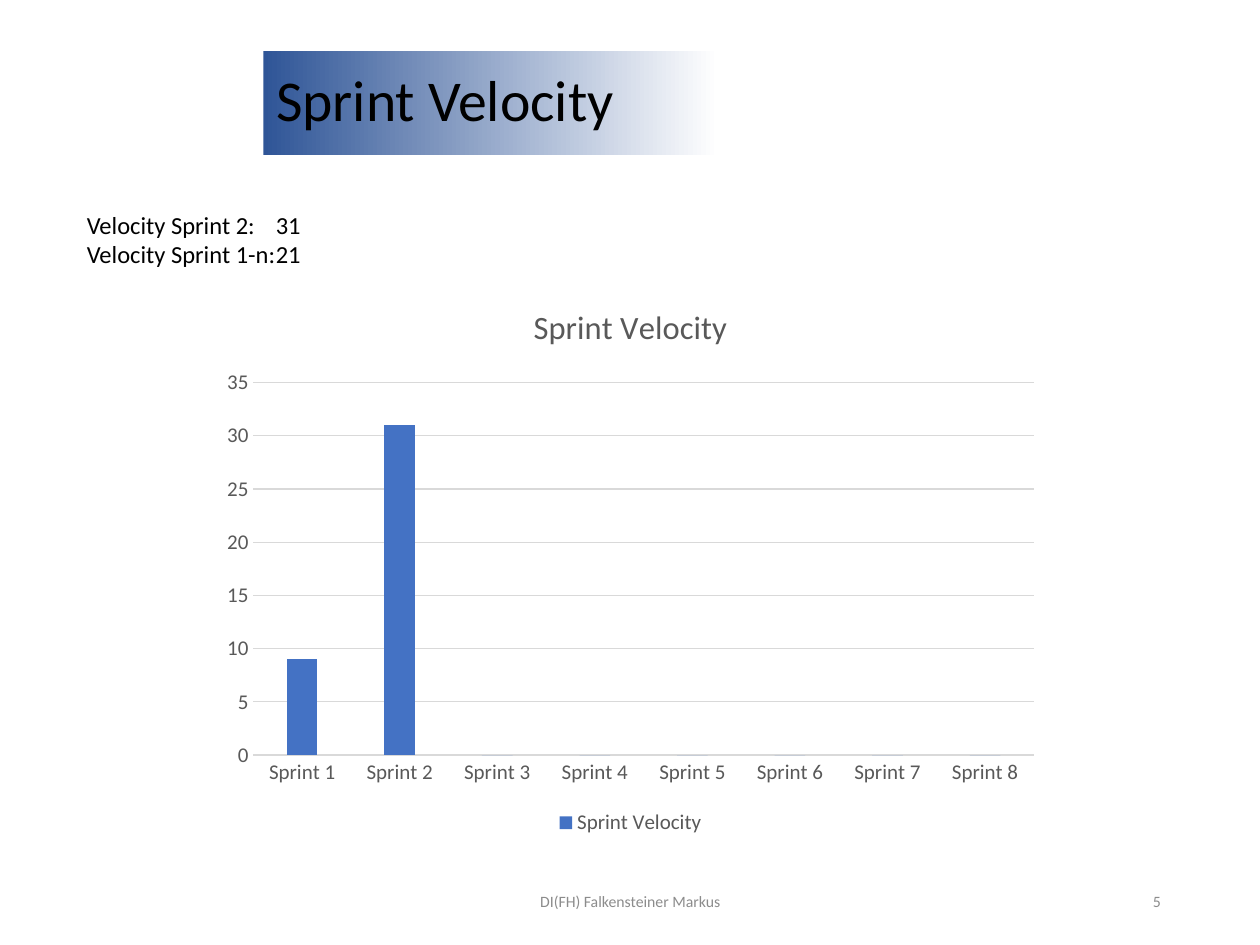
"""Build the Sprint Velocity slide with its column chart."""
from pptx import Presentation
from pptx.chart.data import CategoryChartData
from pptx.dml.color import RGBColor
from pptx.enum.chart import XL_CHART_TYPE as CT, XL_LEGEND_POSITION as LP, XL_TICK_MARK as TM
from pptx.enum.text import MSO_ANCHOR as ANCHOR, MSO_AUTO_SIZE as AUTO, PP_ALIGN as ALIGN
from pptx.util import Cm, Pt

COLORS = {"navy": "2F5597", "white": "FFFFFF", "black": "000000", "footer": "8C8C8C",
          "label": "595959", "grid": "D9D9D9", "bar": "4472C4"}


def rgb(name):
    return RGBColor.from_string(COLORS[name])


def set_font(font, size, color):
    font.name, font.size, font.bold = "Calibri", Pt(size), False
    font.color.rgb = rgb(color)


prs = Presentation()
prs.slide_width, prs.slide_height = Cm(25.4), Cm(19.05)
s = prs.slides.add_slide(prs.slide_layouts[5])

title = s.shapes.title
title.left, title.top, title.width, title.height = Cm(5.31), Cm(1.02), Cm(18.36), Cm(2.11)
title.fill.gradient()
title.fill.gradient_angle = 0
stops = title.fill.gradient_stops
for stop, color, position in zip(stops, ("navy", "white"), (0, 0.5)):
    stop.color.rgb = rgb(color)
    stop.position = position
tf = title.text_frame
tf.text = "Sprint Velocity"
tf.auto_size, tf.vertical_anchor = AUTO.NONE, ANCHOR.MIDDLE
p = tf.paragraphs[0]
p.alignment, p.line_spacing = ALIGN.LEFT, 0.9
set_font(p.font, 33, "black")

texts = [
    ("Velocity Sprint 2:\t31\nVelocity Sprint 1-n:\t21", 1.5, 4.11, 19.61, 1.45,
     14, "black", ALIGN.LEFT, ANCHOR.TOP),
    ("DI(FH) Falkensteiner Markus", 8.41, 17.65, 8.59, 1.02,
     9, "footer", ALIGN.CENTER, ANCHOR.MIDDLE),
    ("5", 17.93, 17.65, 5.72, 1.02, 9, "footer", ALIGN.RIGHT, ANCHOR.MIDDLE),
]
for text, x, y, w, h, size, color, align, anchor in texts:
    tf = s.shapes.add_textbox(Cm(x), Cm(y), Cm(w), Cm(h)).text_frame
    tf.text = text
    tf.word_wrap, tf.vertical_anchor = True, anchor
    for p in tf.paragraphs:
        p.alignment = align
        set_font(p.font, size, color)

data = CategoryChartData()
data.categories = [f"Sprint {n}" for n in range(1, 9)]
data.add_series("Sprint Velocity", [9, 31] + [0] * 6)
chart = s.shapes.add_chart(CT.COLUMN_CLUSTERED, Cm(4.24), Cm(5.66), Cm(16.94), Cm(11.28), data).chart
set_font(chart.font, 10, "black")

chart.has_title = True
tf = chart.chart_title.text_frame
tf.text = "Sprint Velocity"
set_font(tf.paragraphs[0].font, 18.6, "label")
chart.chart_title.include_in_layout = False

chart.has_legend = True
chart.legend.position = LP.BOTTOM
chart.legend.include_in_layout = False
set_font(chart.legend.font, 12, "label")

plot = chart.plots[0]
plot.gap_width, plot.overlap, plot.vary_by_categories = 219, -27, False
bars = plot.series[0].format.fill
bars.solid()
bars.fore_color.rgb = rgb("bar")

cat_axis, val_axis = chart.category_axis, chart.value_axis
for axis in (cat_axis, val_axis):
    axis.major_tick_mark = axis.minor_tick_mark = TM.NONE
    set_font(axis.tick_labels.font, 12, "label")
val_axis.minimum_scale, val_axis.maximum_scale, val_axis.major_unit = 0, 35, 5
val_axis.format.line.fill.background()
for line in (cat_axis.format.line, val_axis.major_gridlines.format.line):
    line.width = Pt(0.75)
    line.color.rgb = rgb("grid")

prs.save("out.pptx")
